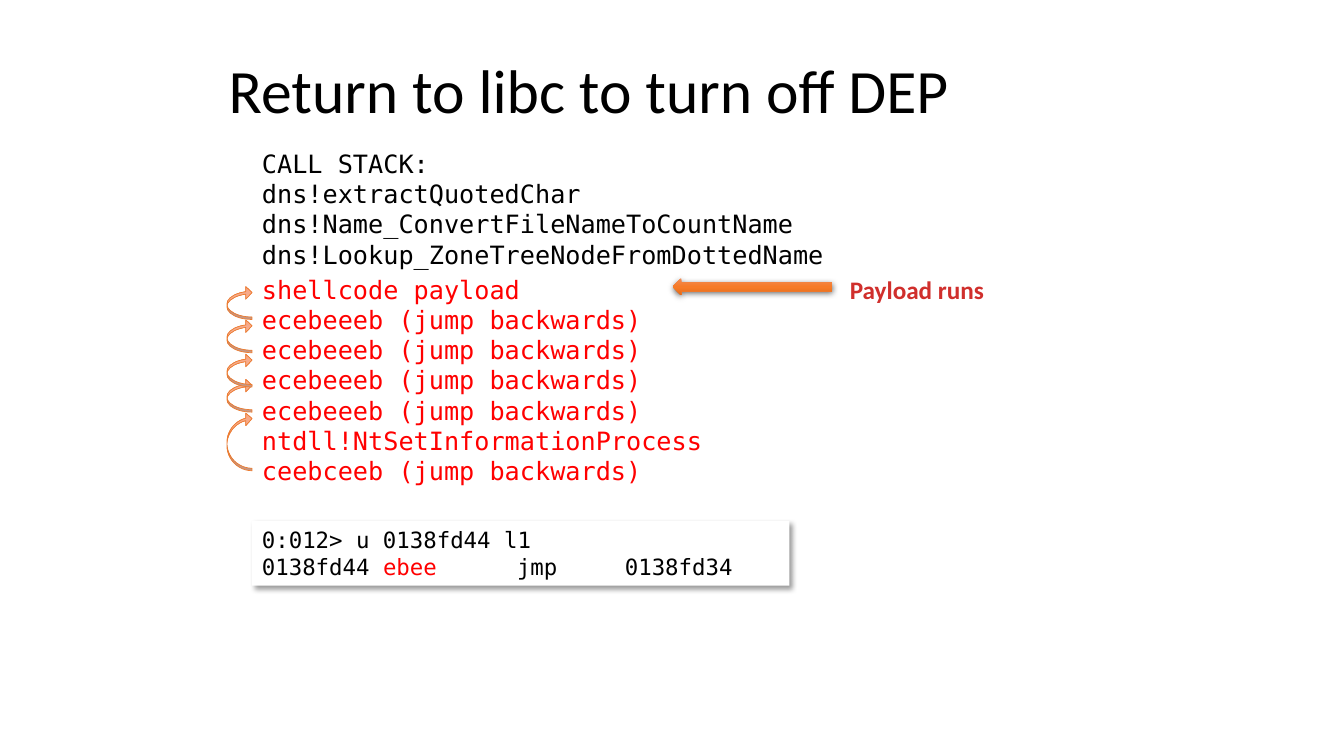
import pptx
import pptx.dml.color
import pptx.enum.shapes
import pptx.enum.text
import pptx.oxml
import pptx.oxml.ns
import pptx.util
from dataclasses import dataclass

Inches = pptx.util.Inches
Pt = pptx.util.Pt
Kind = pptx.enum.shapes.MSO_SHAPE
Anchor = pptx.enum.text.MSO_ANCHOR
NS = pptx.oxml.ns.nsdecls("a")


@dataclass(frozen=True)
class Theme:
    sans: str = "Calibri"
    mono: str = "DejaVu Sans Mono"
    head: int = 44
    body: int = 18
    code: int = 16
    ink: str = "000000"
    alert: str = "FF0000"
    note: str = "D02F2C"
    paper: str = "FFFFFF"
    edge: str = "ED7D31"
    bold: tuple = ((0, "F18C57"), (50, "F67B28"), (100, "E56C19"))
    soft: tuple = ((0, "F7BDA5"), (50, "F5B196"), (100, "F8A582"))


THEME = Theme()


def rgb(tone):
    return pptx.dml.color.RGBColor.from_string(tone)


def style(font, face, size, tone, bold=False):
    font.name, font.size, font.bold = face, Pt(size), bold
    font.color.rgb = rgb(tone)


def blend(shape, stops):
    """Fill from top to bottom through (percent, colour) stops."""
    shape.fill.gradient()
    grad = shape._element.spPr.find(pptx.oxml.ns.qn("a:gradFill"))
    marks = "".join(
        f'<a:gs pos="{pos * 1000}"><a:srgbClr val="{tone}"/></a:gs>'
        for pos, tone in stops)
    grad.getparent().replace(grad, pptx.oxml.parse_xml(
        f'<a:gradFill {NS} rotWithShape="1"><a:gsLst>{marks}</a:gsLst>'
        '<a:lin ang="5400000" scaled="0"/></a:gradFill>'))


def shade(shape, alpha, blur, dist, angle):
    shape.shadow.inherit = False
    glow = shape._element.spPr.find(pptx.oxml.ns.qn("a:effectLst"))
    glow.append(pptx.oxml.parse_xml(
        f'<a:outerShdw {NS} blurRad="{Pt(blur)}" dist="{Pt(dist)}" '
        f'dir="{angle * 60000}" algn="tl" rotWithShape="0">'
        f'<a:srgbClr val="{THEME.ink}"><a:alpha val="{alpha * 1000}"/>'
        '</a:srgbClr></a:outerShdw>'))


def add_tabs(para, stops):
    marks = "".join(f'<a:tab pos="{Inches(stop)}" algn="l"/>' for stop in stops)
    props = para._p.get_or_add_pPr()
    props.insert(0, pptx.oxml.parse_xml(f"<a:tabLst {NS}>{marks}</a:tabLst>"))


def add_text(slide, box, lines, face, size, tone, bold=False):
    """Write one paragraph for each line and return the text frame."""
    frame = slide.shapes.add_textbox(*map(Inches, box)).text_frame
    frame.word_wrap = True
    frame.text = "\n".join(lines)
    for para in frame.paragraphs:
        style(para.font, face, size, tone, bold)
    return frame


def add_title(slide, box):
    frame = add_text(slide, box, ["Return to libc to turn off DEP"],
                     THEME.sans, THEME.head, THEME.ink)
    frame.vertical_anchor = Anchor.MIDDLE
    frame.paragraphs[0].line_spacing = 0.9


def add_stack(slide, left, top, width):
    calls = ["CALL STACK:", "dns!extractQuotedChar",
             "dns!Name_ConvertFileNameToCountName",
             "dns!Lookup_ZoneTreeNodeFromDottedName"]
    attack = ["shellcode payload", *["ecebeeeb (jump backwards)"] * 4,
              "ntdll!NtSetInformationProcess", "ceebceeb (jump backwards)"]
    add_text(slide, (left, top, width, 1.31), calls,
             THEME.mono, THEME.body, THEME.ink)
    add_text(slide, (left, top + 1.25, width, 2.83), attack,
             THEME.mono, THEME.body, THEME.alert)


def add_jumps(slide, left, top):
    """Curl an arrow upwards beside each backward jump."""
    for drop, high in ((1.25, 0.58), (0.92, 0.33), (0.67, 0.33),
                       (0.33, 0.33), (0, 0.33)):
        jump = slide.shapes.add_shape(
            Kind.CURVED_RIGHT_ARROW, Inches(left), Inches(top + drop),
            Inches(0.25), Inches(high))
        for spot, value in enumerate((0.098, 0.5, 0.25)):
            jump.adjustments[spot] = value
        jump._element.spPr.xfrm.set("flipV", "1")
        jump.shadow.inherit = False
        blend(jump, THEME.soft)
        jump.line.color.rgb = rgb(THEME.edge)
        jump.line.width = Pt(0.5)


def add_note(slide, left, top):
    add_text(slide, (left + 1.66, top, 2.67, 0.4), ["Payload runs"],
             THEME.sans, THEME.body, THEME.note, True)
    arrow = slide.shapes.add_shape(
        Kind.LEFT_ARROW, Inches(left), Inches(top + 0.09),
        Inches(1.58), Inches(0.17))
    blend(arrow, THEME.bold)
    arrow.line.fill.background()
    shade(arrow, 63, 4.5, 1.5, 90)


def add_code(slide, box):
    panel = slide.shapes.add_shape(Kind.RECTANGLE, *map(Inches, box))
    panel.fill.solid()
    panel.fill.fore_color.rgb = rgb(THEME.paper)
    panel.line.fill.background()
    shade(panel, 40, 4, 3, 45)
    frame = panel.text_frame
    frame.word_wrap = True
    frame.vertical_anchor = Anchor.TOP
    first, last = frame.paragraphs[0], frame.add_paragraph()
    first.text = "0:012> u 0138fd44 l1"
    for text, tone in (("0138fd44 ", THEME.ink), ("ebee", THEME.alert),
                       ("\tjmp\t0138fd34", THEME.ink)):
        run = last.add_run()
        run.text = text
        run.font.color.rgb = rgb(tone)
    for para in (first, last):
        para.alignment = pptx.enum.text.PP_ALIGN.LEFT
        style(para.font, THEME.mono, THEME.code, THEME.ink)
    add_tabs(last, (2.53, 3.6))


def main():
    deck = pptx.Presentation()
    deck.slide_width, deck.slide_height = Inches(13.33), Inches(7.5)
    slide = deck.slides.add_slide(deck.slide_layouts[6])
    add_stack(slide, 2.5, 1.42, 7.67)
    add_note(slide, 6.67, 2.67)
    add_jumps(slide, 2.25, 2.84)
    add_title(slide, (2.17, 0.3, 9, 1.25))
    add_code(slide, (2.5, 5.17, 5.33, 0.64))
    deck.save("out.pptx")


if __name__ == "__main__":
    main()
